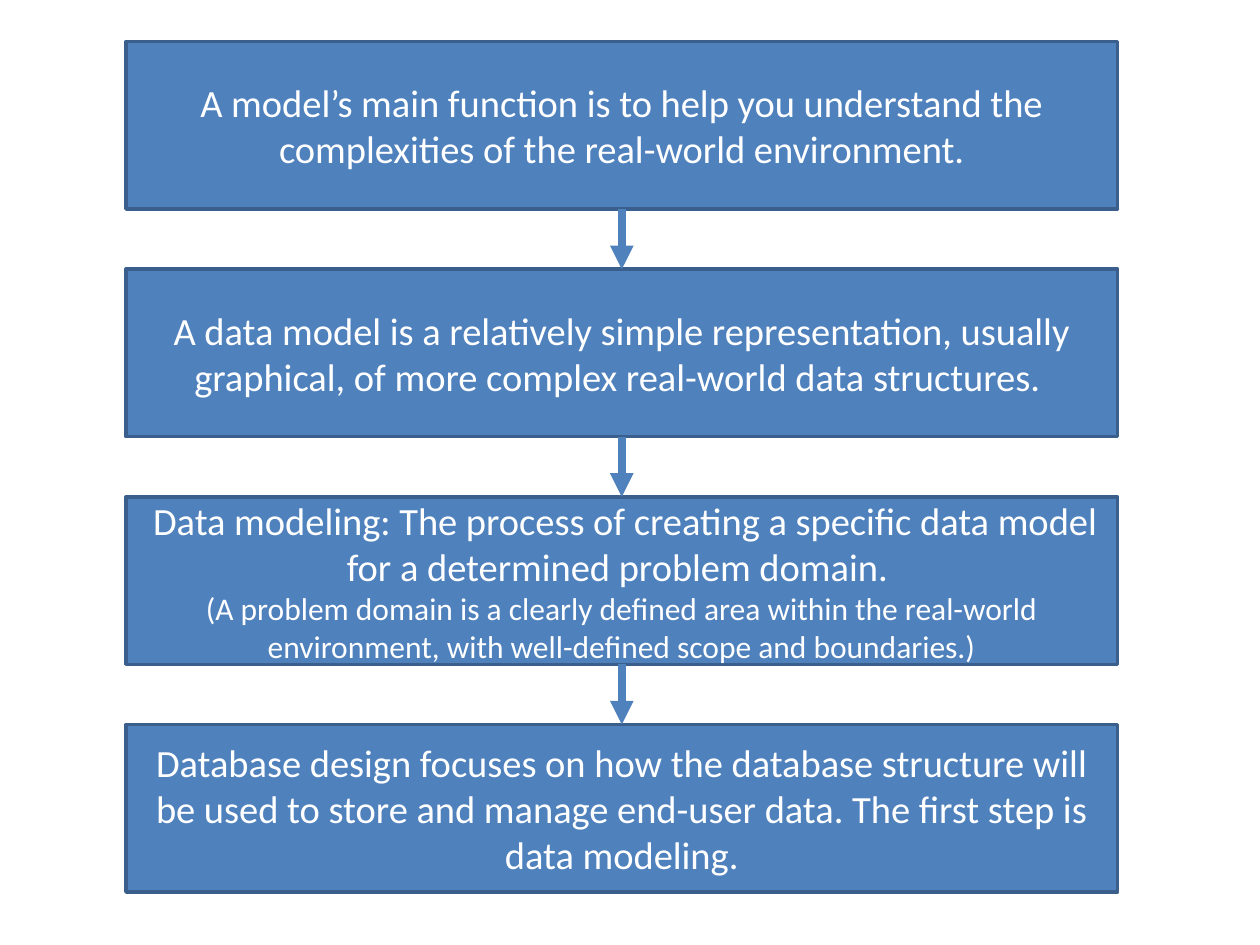
from dataclasses import dataclass

from lxml import etree
from pptx import Presentation
from pptx.dml.color import RGBColor
from pptx.enum.shapes import MSO_CONNECTOR, MSO_SHAPE
from pptx.enum.text import MSO_ANCHOR, PP_ALIGN
from pptx.oxml.ns import qn
from pptx.util import Inches, Pt

RECT = MSO_SHAPE.RECTANGLE
STRAIGHT = MSO_CONNECTOR.STRAIGHT
MIDDLE = MSO_ANCHOR.MIDDLE
CENTER = PP_ALIGN.CENTER
BOTTOM_SITE, TOP_SITE = 2, 0

FONT = "Calibri"
BLUE, EDGE, WHITE = "4F81BD", "3A5F8C", "FFFFFF"

LEFT, WIDTH, HEIGHT = 1, 7.87, 1.33
FIRST_TOP, LAST_TOP = 0.33, 5.75


@dataclass
class Run:
    text: str
    size: int = 22


@dataclass
class Step:
    paragraphs: list[list[Run]]


STEPS = [
    Step([[Run("A model’s main function is to help you understand the "
               "complexities of the real-world environment.")]]),
    Step([[Run("A data model is a relatively simple representation, usually "
               "graphical, of more complex real-world data structures. ")]]),
    Step([
        [Run(" ", 18),
         Run("Data modeling: The process of creating a specific data model "
             "for a determined problem domain. ")],
        [Run("(A problem domain is a clearly defined area within the "
             "real-world environment, with well-defined scope and "
             "boundaries.)", 18)],
    ]),
    Step([[Run("Database design focuses on how the database structure will "
               "be used to store and manage end-user data. The first step is "
               "data modeling.")]]),
]


def color(value: str) -> RGBColor:
    return RGBColor.from_string(value)


def add_step(s, step: Step, top: float):
    sp = s.shapes.add_shape(RECT, Inches(LEFT), Inches(top),
                            Inches(WIDTH), Inches(HEIGHT))
    sp.shadow.inherit = False
    sp.fill.solid()
    sp.fill.fore_color.rgb = color(BLUE)
    sp.line.color.rgb = color(EDGE)
    sp.line.width = Pt(2)
    tf = sp.text_frame
    tf.word_wrap = True
    tf.vertical_anchor = MIDDLE
    for i, runs in enumerate(step.paragraphs):
        p = tf.paragraphs[0] if i == 0 else tf.add_paragraph()
        p.alignment = CENTER
        for run in runs:
            r = p.add_run()
            r.text = run.text
            r.font.name = FONT
            r.font.size = Pt(run.size)
            r.font.color.rgb = color(WHITE)
    return sp


def add_arrow(s, upper, lower) -> None:
    x = upper.left + upper.width // 2
    cx = s.shapes.add_connector(STRAIGHT, x, upper.top + upper.height,
                                x, lower.top)
    cx.begin_connect(upper, BOTTOM_SITE)
    cx.end_connect(lower, TOP_SITE)
    cx.line.color.rgb = color(BLUE)
    cx.line.width = Pt(4.5)
    etree.SubElement(cx.line._get_or_add_ln(), qn("a:tailEnd"), type="triangle")
    etree.SubElement(cx._element.spPr, qn("a:effectLst"))


def main() -> None:
    prs = Presentation()
    prs.slide_width, prs.slide_height = Inches(10), Inches(7.5)
    s = prs.slides.add_slide(prs.slide_layouts[6])

    # Evenly spaced boxes
    pitch = (LAST_TOP - FIRST_TOP) / (len(STEPS) - 1)
    boxes = [add_step(s, step, FIRST_TOP + i * pitch)
             for i, step in enumerate(STEPS)]

    # Arrows from each box to the next
    for upper, lower in zip(boxes, boxes[1:]):
        add_arrow(s, upper, lower)

    prs.save("out.pptx")


if __name__ == "__main__":
    main()
